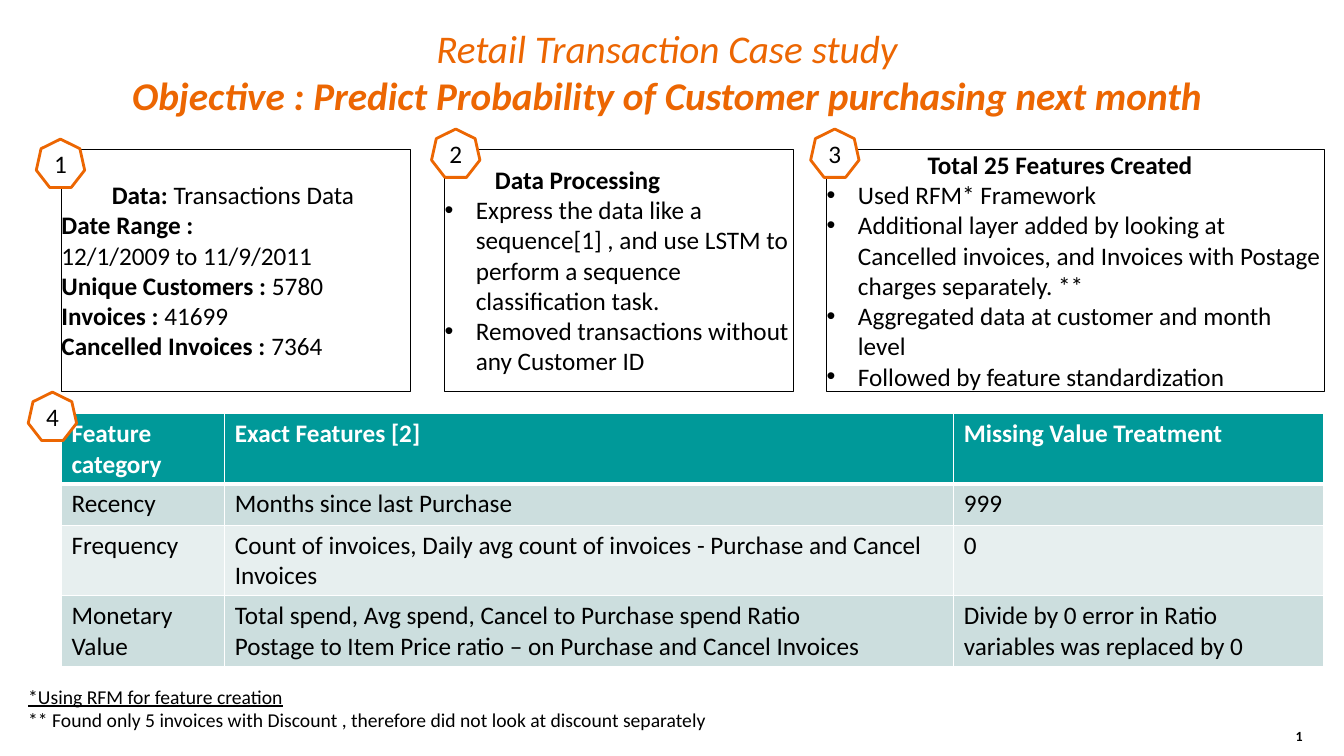
"""Build the retail transaction case study slide."""
from dataclasses import dataclass

from lxml.etree import SubElement
from pptx import Presentation
from pptx.dml.color import RGBColor
from pptx.enum.shapes import MSO_SHAPE as Preset
from pptx.enum.text import MSO_ANCHOR as Anchor, PP_ALIGN as Align
from pptx.oxml.ns import qn
from pptx.util import Inches, Pt

ORANGE = RGBColor(0xEC, 0x66, 0x02)
TEAL = RGBColor(0x00, 0x99, 0x99)
MIST = RGBColor(0xCC, 0xDE, 0xDE)
PALE = RGBColor(0xE7, 0xEF, 0xEF)
WHITE = RGBColor(0xFF, 0xFF, 0xFF)
BLACK = RGBColor(0x00, 0x00, 0x00)


@dataclass
class Span:
    """A piece of text with its emphasis."""
    text: str
    bold: bool = False
    italic: bool = False
    underline: bool = False


@dataclass
class Para:
    """A paragraph with its indent, bullet and alignment."""
    spans: list[Span]
    indent: float = 0
    bullet: bool = False
    align: Align = Align.LEFT


@dataclass
class Panel:
    """A framed box of findings."""
    left: float
    width: float
    paras: list[Para]


@dataclass
class Badge:
    """A numbered heptagon."""
    left: float
    top: float


def plain(text: str) -> Para:
    """Return an unemphasised paragraph."""
    return Para([Span(text)])


def bullet(text: str) -> Para:
    """Return a bulleted paragraph."""
    return Para([Span(text)], 0.31, True)


def fact(label: str, value: str = "", indent: float = 0) -> Para:
    """Return a bold label followed by its value."""
    return Para([Span(label, bold=True), Span(value)], indent)


def write(frame, paras: list[Para], size: float, color: RGBColor) -> None:
    """Fill a text frame with formatted paragraphs."""
    for index, item in enumerate(paras):
        para = frame.add_paragraph() if index else frame.paragraphs[0]
        para.alignment = item.align
        properties = para._p.get_or_add_pPr()
        properties.set("marL", str(Inches(item.indent)))
        properties.set("indent", str(Inches(-item.indent if item.bullet else 0)))
        if item.bullet:
            SubElement(properties, qn("a:buFont")).set("typeface", "Arial")
            SubElement(properties, qn("a:buChar")).set("char", "•")
        for part in filter(lambda part: part.text, item.spans):
            span = para.add_run()
            span.text = part.text
            font_format = {"name": "Calibri", "size": Pt(size), "bold": part.bold,
                           "italic": part.italic, "underline": part.underline}
            for name, value in font_format.items():
                setattr(span.font, name, value)
            span.font.color.rgb = color


def set_frame(frame, anchor: Anchor) -> None:
    """Wrap a text frame, clear its margins and anchor it."""
    frame_format = {"word_wrap": True, "vertical_anchor": anchor, "margin_left": 0,
                    "margin_right": 0, "margin_top": 0, "margin_bottom": 0}
    for name, value in frame_format.items():
        setattr(frame, name, value)


def add_text(page, area: tuple, paras: list[Para], size: float,
             color: RGBColor = BLACK, anchor: Anchor = Anchor.TOP) -> None:
    """Add a text box."""
    box = page.shapes.add_textbox(*map(Inches, area))
    set_frame(box.text_frame, anchor)
    write(box.text_frame, paras, size, color)


def add_outlined(page, preset: Preset, area: tuple, paras: list[Para],
                 line: RGBColor, weight: float, fill: RGBColor | None = None) -> None:
    """Add an outlined shape holding text."""
    box = page.shapes.add_shape(preset, *map(Inches, area))
    box.shadow.inherit = False
    if fill is None:
        box.fill.background()
    else:
        box.fill.solid()
        box.fill.fore_color.rgb = fill
    box.line.color.rgb = line
    box.line.width = Pt(weight)
    set_frame(box.text_frame, Anchor.MIDDLE)
    write(box.text_frame, paras, 18, BLACK)


def add_borders(cell, bottom: float) -> None:
    """Draw white borders around a table cell."""
    properties = cell._tc.get_or_add_tcPr()
    for side, weight in {"L": 1, "R": 1, "T": 1, "B": bottom}.items():
        line = SubElement(properties, qn(f"a:ln{side}"), w=str(Pt(weight)))
        fill = SubElement(line, qn("a:solidFill"))
        SubElement(fill, qn("a:srgbClr"), val=str(WHITE))


def add_features(page, rows: list[tuple]) -> None:
    """Add the feature table with a header and banded rows."""
    area = map(Inches, (0.61, 4.1, 12.52, 2.51))
    table = page.shapes.add_table(len(rows), len(rows[0]), *area).table
    for column, width in zip(table.columns, (1.62, 7.23, 3.67)):
        column.width = Inches(width)
    for row, height in zip(table.rows, (0.7, 0.41, 0.7, 0.7)):
        row.height = Inches(height)
    for r, texts in enumerate(rows):
        header = r == 0
        for c, text in enumerate(texts):
            cell = table.cell(r, c)
            add_borders(cell, 3 if header else 1)
            cell.fill.solid()
            cell.fill.fore_color.rgb = TEAL if header else MIST if r % 2 else PALE
            paras = [Para([Span(line, bold=header)]) for line in text.split("\n")]
            write(cell.text_frame, paras, 18, WHITE if header else BLACK)


TITLE = [
    Para([Span("Retail Transaction Case study", italic=True)], align=Align.CENTER),
    Para([Span("Objective : Predict Probability of Customer purchasing next month",
               bold=True, italic=True)], align=Align.CENTER),
]
NOTES = [
    Para([Span("*Using RFM for feature creation", underline=True)]),
    plain("** Found only 5 invoices with Discount , "
          "therefore did not look at discount separately"),
]
PANELS = [
    Panel(0.61, 3.46, [
        fact("Data: ", "Transactions Data", 0.5),
        fact("Date Range :"),
        plain("12/1/2009 to 11/9/2011"),
        fact("Unique Customers : ", "5780"),
        fact("Invoices : ", "41699"),
        fact("Cancelled Invoices : ", "7364"),
    ]),
    Panel(4.41, 3.46, [
        fact("Data Processing", indent=0.5),
        bullet("Express the data like a sequence[1] , and use LSTM to "
               "perform a sequence classification task."),
        bullet("Removed transactions without any Customer ID"),
    ]),
    Panel(8.2, 4.94, [
        fact("Total 25 Features Created", indent=1),
        bullet("Used RFM* Framework"),
        bullet("Additional layer added by looking at Cancelled invoices, "
               "and Invoices with Postage charges separately. **"),
        bullet("Aggregated data at customer and month level"),
        bullet("Followed by feature standardization"),
    ]),
]
FEATURES = [
    ("Feature category", "Exact Features [2]", "Missing Value Treatment"),
    ("Recency", "Months since last Purchase", "999"),
    ("Frequency", "Count of invoices, Daily avg count of invoices - "
     "Purchase and Cancel Invoices", "0"),
    ("Monetary Value", "Total spend, Avg spend, Cancel to Purchase spend Ratio\n"
     "Postage to Item Price ratio – on Purchase and Cancel Invoices",
     "Divide by 0 error in Ratio variables was replaced by 0"),
]
BADGES = [Badge(0.36, 1.38), Badge(4.28, 1.28), Badge(8.04, 1.28), Badge(0.28, 3.89)]

deck = Presentation()
deck.slide_width, deck.slide_height = Inches(13.33), Inches(7.5)
page = deck.slides.add_slide(deck.slide_layouts[6])
add_text(page, (12.61, 7.22, 0.31, 0.16),
         [Para([Span("1", bold=True)], align=Align.RIGHT)], 10, anchor=Anchor.MIDDLE)
add_text(page, (0.28, 0.24, 12.67, 0.91), TITLE, 28, ORANGE)
add_text(page, (0.28, 6.79, 7.29, 0.61), NOTES, 14)
for panel in PANELS:
    add_outlined(page, Preset.RECTANGLE, (panel.left, 1.48, panel.width, 2.4),
                 panel.paras, BLACK, 0.75)
add_features(page, FEATURES)
for number, badge in enumerate(BADGES, 1):
    add_outlined(page, Preset.HEPTAGON, (badge.left, badge.top, 0.48, 0.48),
                 [Para([Span(str(number))], align=Align.CENTER)], ORANGE, 2, WHITE)
deck.save("out.pptx")
